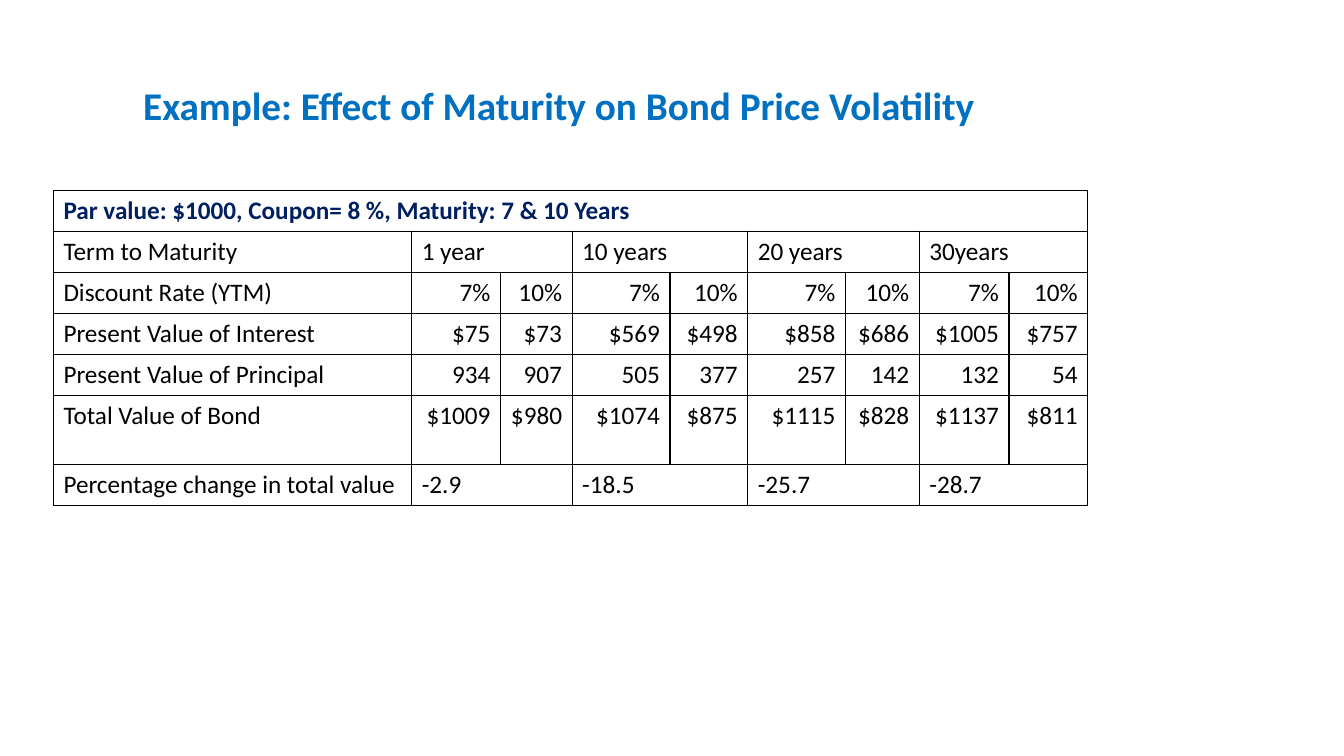
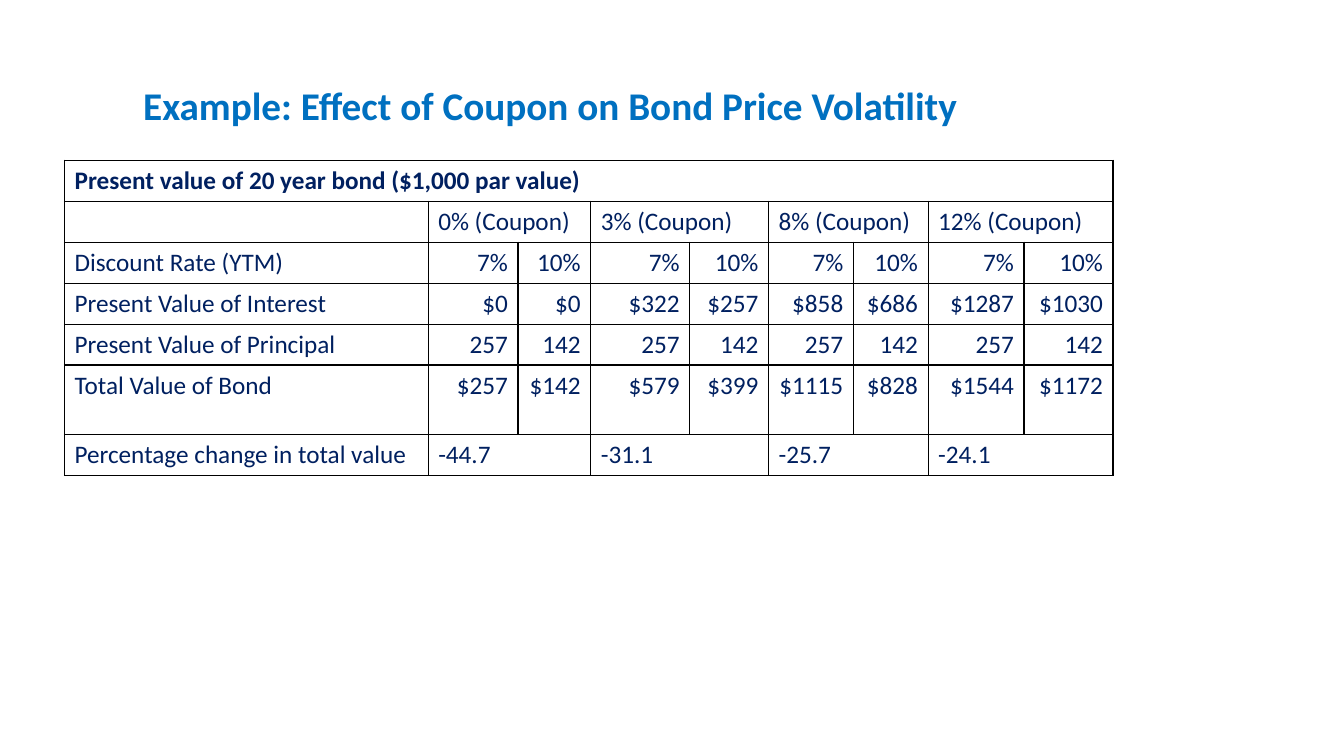
import pptx
import pptx.dml.color
import pptx.enum.text
import pptx.oxml
import pptx.oxml.ns
import pptx.util

COLORS = {"title": "0070C0", "navy": "002060", "black": "000000"}
FONT = "Calibri"
SLIDE_WIDTH, SLIDE_HEIGHT = 13.33, 7.5
TITLE_BOX = (1.32, 0.76, 10.17, 0.57)
TABLE_HEIGHT, TOTAL_ROW_HEIGHT = 3.13, 0.69
RATES = ["7%", "10%"] * 4
LABELS = ["Discount Rate (YTM)", "Present Value of Interest",
          "Present Value of Principal", "Total Value of Bond"]
TOTAL_ROW = 5

SLIDES = [
    {
        "title": "Example: Effect of Maturity on Bond Price Volatility",
        "box": (0.53, 1.89, 10.26, TABLE_HEIGHT),
        "columns": [3.55, 0.88, 0.71, 0.97, 0.77, 0.97, 0.73, 0.89, 0.78],
        "color": "black",
        "caption": "Par value: $1000, Coupon= 8 %, Maturity: 7 & 10 Years",
        "groups": ["Term to Maturity", "1 year", "10 years", "20 years", "30years"],
        "interest": ["$75", "$73", "$569", "$498", "$858", "$686", "$1005", "$757"],
        "principal": ["934", "907", "505", "377", "257", "142", "132", "54"],
        "total": ["$1009", "$980", "$1074", "$875", "$1115", "$828", "$1137", "$811"],
        "change": ["-2.9", "-18.5", "-25.7", "-28.7"],
    },
    {
        "title": "Example: Effect of Coupon on Bond Price Volatility",
        "box": (0.64, 1.59, 10.4, TABLE_HEIGHT),
        "columns": [3.6, 0.89, 0.72, 0.98, 0.78, 0.84, 0.74, 0.95, 0.88],
        "color": "navy",
        "caption": "Present value of 20 year bond ($1,000 par value)",
        "groups": ["", "0% (Coupon)", "3% (Coupon)", "8% (Coupon)", "12% (Coupon)"],
        "interest": ["$0", "$0", "$322", "$257", "$858", "$686", "$1287", "$1030"],
        "principal": ["257", "142"] * 4,
        "total": ["$257", "$142", "$579", "$399", "$1115", "$828", "$1544", "$1172"],
        "change": ["-44.7", "-31.1", "-25.7", "-24.1"],
    },
]


def style_paragraph(para, size, color, bold=False, align="LEFT"):
    """Set the font and alignment of one paragraph."""
    para.alignment = getattr(pptx.enum.text.PP_ALIGN, align)
    para.font.name = FONT
    para.font.size = pptx.util.Pt(size)
    para.font.bold = bold
    para.font.color.rgb = pptx.dml.color.RGBColor.from_string(COLORS[color])


def add_title(page, text, box):
    """Place the slide title in its box."""
    title = page.shapes.title
    title.left, title.top, title.width, title.height = map(pptx.util.Inches, box)
    frame = title.text_frame
    frame.text = text
    frame.word_wrap = True
    frame.auto_size = pptx.enum.text.MSO_AUTO_SIZE.SHAPE_TO_FIT_TEXT
    frame.vertical_anchor = pptx.enum.text.MSO_ANCHOR.TOP
    style_paragraph(frame.paragraphs[0], 28, "title", bold=True)


def outline_cell(cell):
    """Clear the fill of a cell and draw its four borders."""
    cell.fill.background()
    properties = cell._tc.get_or_add_tcPr()
    for index, side in enumerate("LRTB"):
        border = pptx.oxml.parse_xml(
            f'<a:ln{side} {pptx.oxml.ns.nsdecls("a")} w="12700"><a:solidFill>'
            f'<a:srgbClr val="{COLORS["black"]}"/></a:solidFill></a:ln{side}>')
        properties.insert(index, border)


def spread(label, values):
    """Put each value at the start of a pair of columns."""
    return [label] + [text for value in values for text in (value, "")]


def table_rows(data):
    """Return the text of the seven table rows."""
    figures = [RATES, data["interest"], data["principal"], data["total"]]
    return [
        [data["caption"]] + [""] * len(RATES),
        spread(data["groups"][0], data["groups"][1:]),
        *[[label] + values for label, values in zip(LABELS, figures)],
        spread("Percentage change in total value", data["change"]),
    ]


def add_bond_table(page, data, box):
    """Build the bond table in its box."""
    rows = table_rows(data)
    columns = data["columns"]
    left, top, width, height = box
    table = page.shapes.add_table(
        len(rows), len(columns), *map(pptx.util.Inches, box)).table
    table.first_row = table.horz_banding = False
    for column, share in zip(table.columns, columns):
        column.width = pptx.util.Inches(width * share / sum(columns))
    plain_height = (height - TOTAL_ROW_HEIGHT) / (len(rows) - 1)
    for index, row in enumerate(table.rows):
        row.height = pptx.util.Inches(
            TOTAL_ROW_HEIGHT if index == TOTAL_ROW else plain_height)

    for r, texts in enumerate(rows):
        for c, text in enumerate(texts):
            cell = table.cell(r, c)
            cell.text = text
            outline_cell(cell)
            is_figure = c > 0 and 2 <= r <= TOTAL_ROW
            style_paragraph(cell.text_frame.paragraphs[0], 18,
                            data["color"] if r else "navy", bold=r == 0,
                            align="RIGHT" if is_figure else "LEFT")

    table.cell(0, 0).merge(table.cell(0, len(columns) - 1))
    for r in (1, len(rows) - 1):
        for c in range(1, len(columns), 2):
            table.cell(r, c).merge(table.cell(r, c + 1))


def add_example_slide(deck, data):
    """Add one slide with a title and a bond table."""
    page = deck.slides.add_slide(deck.slide_layouts.get_by_name("Title Only"))
    add_title(page, data["title"], TITLE_BOX)
    add_bond_table(page, data, data["box"])


def main():
    """Build the deck and save it."""
    deck = pptx.Presentation()
    deck.slide_width = pptx.util.Inches(SLIDE_WIDTH)
    deck.slide_height = pptx.util.Inches(SLIDE_HEIGHT)
    for data in SLIDES:
        add_example_slide(deck, data)
    deck.save("out.pptx")


if __name__ == "__main__":
    main()
